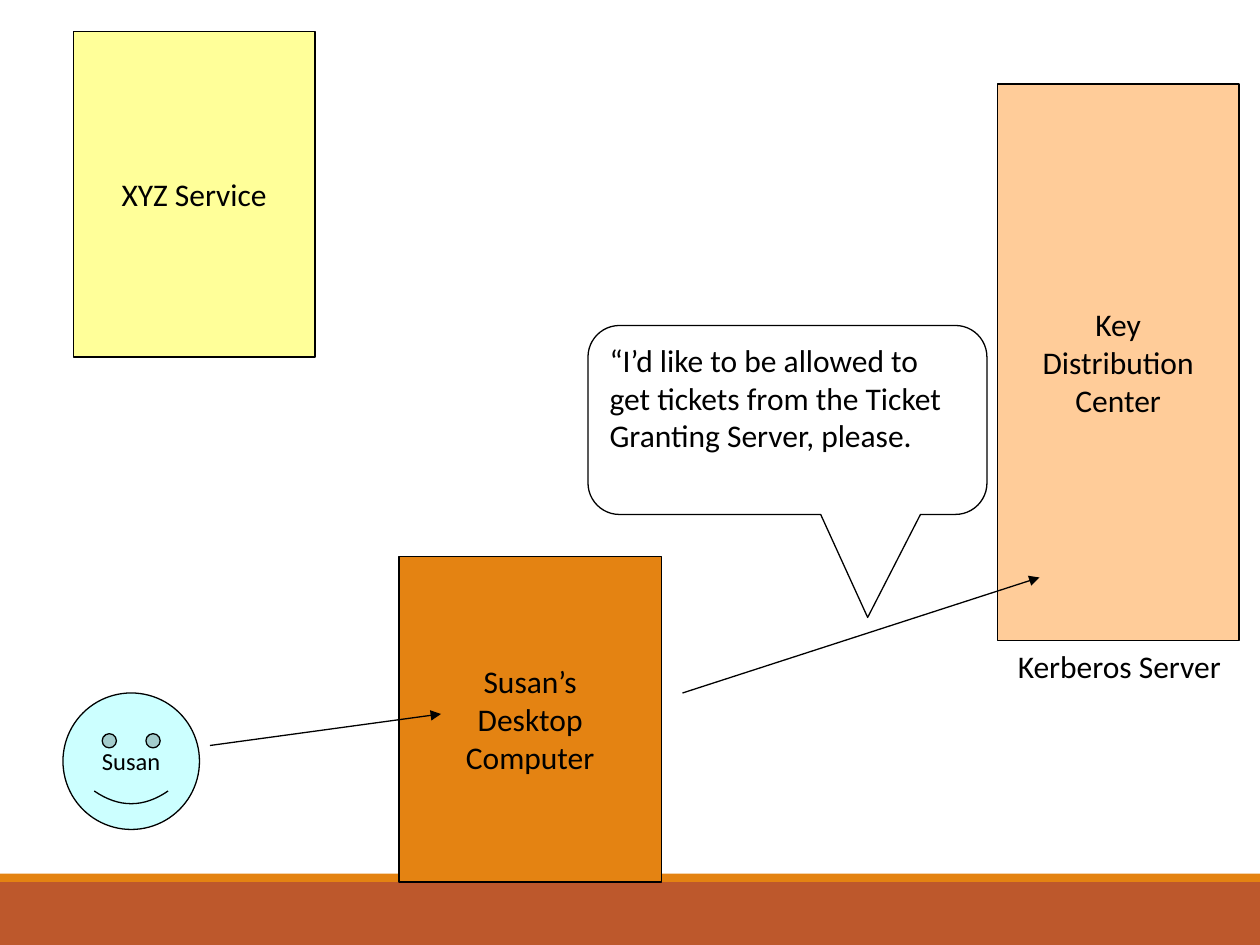
from lxml.etree import SubElement
from pptx import Presentation
from pptx.dml.color import RGBColor
from pptx.enum.shapes import MSO_CONNECTOR, MSO_SHAPE
from pptx.enum.text import MSO_ANCHOR, MSO_AUTO_SIZE, PP_ALIGN
from pptx.oxml.ns import qn
from pptx.util import Inches, Pt

BLACK = "000000"
ORANGE = "E48312"
COLUMNS, ROWS = 120, 90


def color(hex_text):
    """Turn a hex string into a colour."""
    return RGBColor.from_string(hex_text)


def grid(*cells):
    """Turn counts of grid cells, twelve to the inch, into lengths."""
    return [Inches(count / 12) for count in cells]


def write(shape, text, size=18, align=PP_ALIGN.CENTER, anchor=MSO_ANCHOR.MIDDLE, wrap=False):
    """Put formatted text into a shape."""
    frame = shape.text_frame
    frame.text = text
    frame.word_wrap = wrap
    frame.vertical_anchor = anchor
    for para in frame.paragraphs:
        para.alignment = align
        for span in para.runs:
            span.font.name = "Calibri"
            span.font.size = Pt(size)
            span.font.color.rgb = color(BLACK)


def add_figure(page, kind, box, fill, outlined=True, adjustments=()):
    """Draw a filled preset shape in a box of grid cells."""
    shape = page.shapes.add_shape(kind, *grid(*box))
    shape.shadow.inherit = False
    shape.fill.solid()
    shape.fill.fore_color.rgb = color(fill)
    if outlined:
        shape.line.color.rgb = color(BLACK)
        shape.line.width = Pt(0.75)
    else:
        shape.line.fill.background()
    for index, value in enumerate(adjustments):
        shape.adjustments[index] = value
    return shape


def add_footer(page, top, stripe):
    """Draw the footer band with a thin stripe above it."""
    add_figure(page, MSO_SHAPE.RECTANGLE, (0, top, COLUMNS, ROWS - top), "BD582C", False)
    add_figure(page, MSO_SHAPE.RECTANGLE, (0, top - stripe, COLUMNS, stripe), ORANGE, False)


def add_machine(page, box, text, fill):
    """Draw a labelled computer or service."""
    write(add_figure(page, MSO_SHAPE.RECTANGLE, box, fill), text)


def add_user(page, box, name):
    """Draw a smiling user with a name."""
    face = add_figure(page, MSO_SHAPE.SMILEY_FACE, box, "CCFFFF", adjustments=[0.047])
    write(face, name, size=14)


def add_arrow(page, start, end):
    """Draw an arrow between two grid points."""
    arrow = page.shapes.add_connector(MSO_CONNECTOR.STRAIGHT, *grid(*start, *end))
    arrow.line.color.rgb = color(BLACK)
    arrow.line.width = Pt(0.75)
    SubElement(arrow.line._get_or_add_ln(), qn("a:tailEnd"), type="triangle")
    SubElement(arrow._element.spPr, qn("a:effectLst"))


def add_speech(page, box, text):
    """Draw a speech bubble."""
    bubble = add_figure(page, MSO_SHAPE.ROUNDED_RECTANGULAR_CALLOUT, box, "FFFFFF",
                        adjustments=[0.201, 1.045, 0.167])
    write(bubble, text, align=PP_ALIGN.LEFT, anchor=MSO_ANCHOR.TOP, wrap=True)


def add_caption(page, box, text):
    """Write a caption below a machine."""
    caption = page.shapes.add_textbox(*grid(*box))
    write(caption, text, align=PP_ALIGN.LEFT, anchor=MSO_ANCHOR.TOP)
    caption.text_frame.auto_size = MSO_AUTO_SIZE.SHAPE_TO_FIT_TEXT


def main():
    """Build the slide and save the deck."""
    deck = Presentation()
    deck.slide_width, deck.slide_height = grid(COLUMNS, ROWS)
    page = deck.slides.add_slide(deck.slide_layouts[6])
    add_footer(page, 84, 0.8)
    add_machine(page, (38, 53, 25, 31), "Susan’s\nDesktop\nComputer", ORANGE)
    add_user(page, (6, 66, 13, 13), "Susan")
    add_machine(page, (95, 8, 23, 53), "Key\nDistribution\nCenter", "FFCC99")
    add_machine(page, (7, 3, 23, 31), "XYZ Service", "FFFF99")
    add_arrow(page, (20, 71), (42, 68))
    add_arrow(page, (65, 66), (99, 55))
    add_speech(page, (56, 31, 38, 18),
               "“I’d like to be allowed to get tickets from the Ticket Granting Server, please.")
    add_caption(page, (95.75, 61, 22, 4.8), "Kerberos Server")
    deck.save("out.pptx")


if __name__ == "__main__":
    main()
